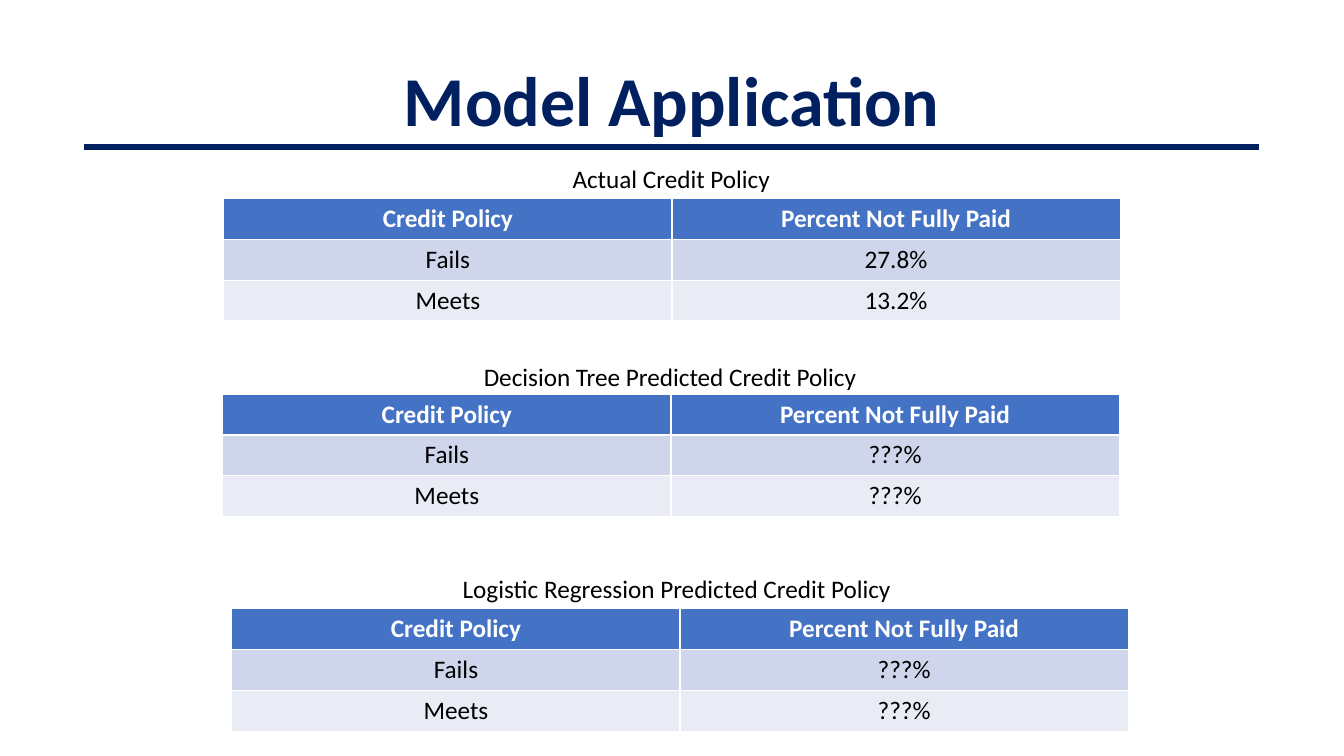
"""Builds the Model Application slide with three credit policy tables."""
import pptx
import pptx.dml.color
import pptx.enum.shapes
import pptx.enum.text
import pptx.util
from lxml import etree
from pptx.util import Inches

COLORS = {"navy": "002060", "header": "4472C4", "odd": "CFD5EA",
          "even": "E9EBF5", "white": "FFFFFF", "black": "000000"}
TITLE = "Model Application"
HEADINGS = ("Credit Policy", "Percent Not Fully Paid")
POLICIES = [
    {"caption": "Actual Credit Policy", "caption_box": (5.58, 1.57, 2.18, 0.4),
     "table_at": (2.22, 1.97), "rates": ("27.8%", "13.2%")},
    {"caption": "Decision Tree Predicted Credit Policy", "caption_box": (4.7, 3.54, 3.94, 0.4),
     "table_at": (2.21, 3.91), "rates": ("???%", "???%")},
    {"caption": "Logistic Regression Predicted Credit Policy", "caption_box": (4.49, 5.64, 4.5, 0.4),
     "table_at": (2.3, 6.04), "rates": ("???%", "???%")},
]
COLUMN_WIDTH, ROW_HEIGHT = 4.445, 0.405
ROW_FORMATS = [("header", "white", True), ("odd", "black", False), ("even", "black", False)]
ALIGN = pptx.enum.text.PP_ALIGN


def rgb(name):
    return pptx.dml.color.RGBColor.from_string(COLORS[name])


def write(frame, text, size, color, bold, alignment):
    paragraph = frame.paragraphs[0]
    paragraph.alignment = alignment
    run = paragraph.add_run()
    run.text = text
    formats = {"name": "Calibri", "size": pptx.util.Pt(size), "bold": bold}
    for attribute, value in formats.items():
        setattr(run.font, attribute, value)
    run.font.color.rgb = rgb(color)


def add_text(slide, box, text, size, color, bold, alignment, wrap):
    frame = slide.shapes.add_textbox(*map(Inches, box)).text_frame
    frame.word_wrap = wrap
    frame.auto_size = pptx.enum.text.MSO_AUTO_SIZE.SHAPE_TO_FIT_TEXT
    write(frame, text, size, color, bold, alignment)


def add_rule(slide):
    rule = slide.shapes.add_connector(pptx.enum.shapes.MSO_CONNECTOR.STRAIGHT,
                                      *map(Inches, (0.83, 1.46, 12.49, 1.46)))
    rule.line.color.rgb = rgb("navy")
    rule.line.width = pptx.util.Pt(4.5)
    etree.SubElement(rule.element.spPr, pptx.oxml.ns.qn("a:effectLst"))


def add_policy_table(slide, policy):
    rows = [HEADINGS, *zip(("Fails", "Meets"), policy["rates"])]
    size = (COLUMN_WIDTH * len(HEADINGS), ROW_HEIGHT * len(rows))
    table = slide.shapes.add_table(len(rows), len(HEADINGS),
                                   *map(Inches, policy["table_at"] + size)).table
    for row_index, (texts, (fill, color, bold)) in enumerate(zip(rows, ROW_FORMATS)):
        for column_index, text in enumerate(texts):
            cell = table.cell(row_index, column_index)
            cell.fill.solid()
            cell.fill.fore_color.rgb = rgb(fill)
            write(cell.text_frame, text, 18, color, bold, ALIGN.CENTER)


def main():
    presentation = pptx.Presentation()
    presentation.slide_width, presentation.slide_height = Inches(13.33), Inches(7.5)
    slide = presentation.slides.add_slide(presentation.slide_layouts[6])
    add_text(slide, (0, 0.51, 13.33, 0.94), TITLE, 50, "navy", True, ALIGN.CENTER, True)
    add_rule(slide)
    for policy in POLICIES:
        add_policy_table(slide, policy)
        add_text(slide, policy["caption_box"], policy["caption"], 18, "black", False, ALIGN.LEFT, False)
    presentation.save("out.pptx")


if __name__ == "__main__":
    main()
